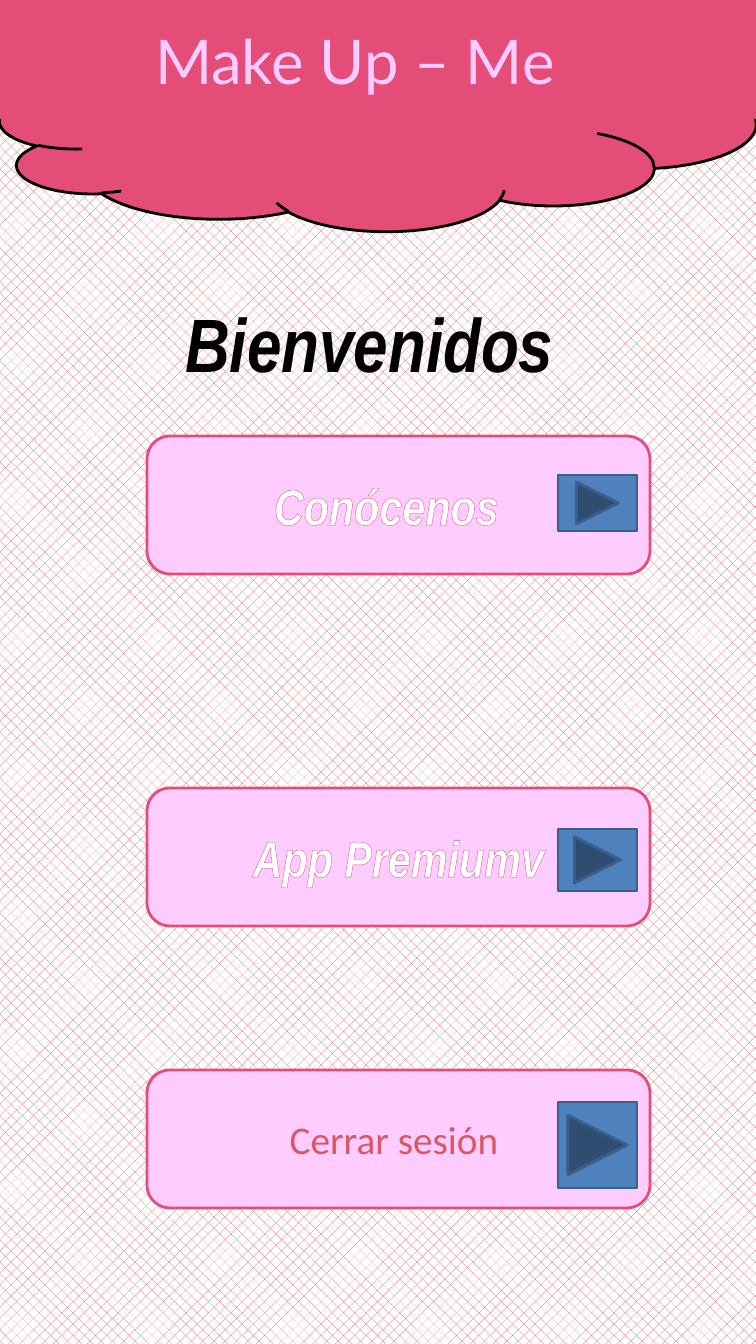
"""Builds the welcome screen of a make-up app with three menu buttons."""
from lxml.etree import SubElement
from pptx import Presentation
from pptx.dml.color import RGBColor
from pptx.enum.dml import MSO_PATTERN
from pptx.enum.shapes import MSO_SHAPE
from pptx.enum.text import MSO_ANCHOR, PP_ALIGN
from pptx.oxml.ns import qn
from pptx.util import Pt

PX = 914400 / 100.8
HEX = {"rose": "E34D78", "pink": "FFCCFF", "coral": "D95763", "blue": "4F81BD",
       "navy": "3A5F8C", "black": "000000", "white": "FFFFFF"}
RGB = {name: RGBColor.from_string(code) for name, code in HEX.items()}


def draw(kind, box, fill, line):
    shape = slide.shapes.add_shape(kind, *[round(n * PX) for n in box])
    shape.shadow.inherit = False
    shape.fill.solid()
    shape.fill.fore_color.rgb = RGB[fill]
    shape.line.color.rgb = RGB[line]
    shape.line.width = Pt(2)
    return shape


def write(shape, text, face, size, color, edge=None, slant=False, shift=0):
    frame = shape.text_frame
    frame.word_wrap = True
    frame.vertical_anchor = MSO_ANCHOR.MIDDLE
    frame.margin_right = round((10 + shift) * PX)
    para = frame.paragraphs[0]
    para.alignment = PP_ALIGN.CENTER
    run = para.add_run()
    run.text = text
    font = para.font
    font.name, font.size = face, Pt(size)
    font.bold = font.italic = slant
    font.color.rgb = RGB[color]
    if edge:
        props = run._r.get_or_add_rPr()
        line = SubElement(props, qn("a:ln"), w=str(Pt(0.75)))
        solid = SubElement(line, qn("a:solidFill"))
        SubElement(solid, qn("a:srgbClr"), val=HEX[edge])


deck = Presentation()
deck.slide_width, deck.slide_height = round(756 * PX), round(1344 * PX)
slide = deck.slides.add_slide(deck.slide_layouts[5])
back = slide.background.fill
back.patterned()
back.pattern = MSO_PATTERN.PERCENT_25
back.fore_color.rgb, back.back_color.rgb = RGB["coral"], RGB["white"]

cloud = draw(MSO_SHAPE.CLOUD, (0, 23, 756, 208), "rose", "black")
title = slide.shapes.title
title.left, title.top = 0, 0
title.width, title.height = round(756 * PX), round(119 * PX)
title.fill.solid()
title.fill.fore_color.rgb = RGB["rose"]
cloud._element.addnext(title._element)
write(title, "Make Up – Me", "Lato", 44, "pink", "black", shift=46)

hello = slide.shapes.add_textbox(*[round(n * PX) for n in (84, 291, 607, 102)])
write(hello, "Bienvenidos", "Arial Narrow", 54, "black", "white", True, 36)

look = ("Arial Narrow", 36, "white", "rose", True)
plain = ("Calibri", 28, "coral", None, False)
menu = [("Conócenos", 436, look, 24, 475, 56),
        ("App Premiumv", 788, look, 0, 829, 62),
        ("Cerrar sesión", 1070, plain, 9, 1102, 86)]
for text, top, style, shift, next_top, tall in menu:
    card = draw(MSO_SHAPE.ROUNDED_RECTANGLE, (147, top, 503, 138), "pink", "rose")
    write(card, text, *style, shift)
    draw(MSO_SHAPE.ACTION_BUTTON_FORWARD_OR_NEXT, (558, next_top, 79, tall), "blue", "navy")

deck.save("out.pptx")
